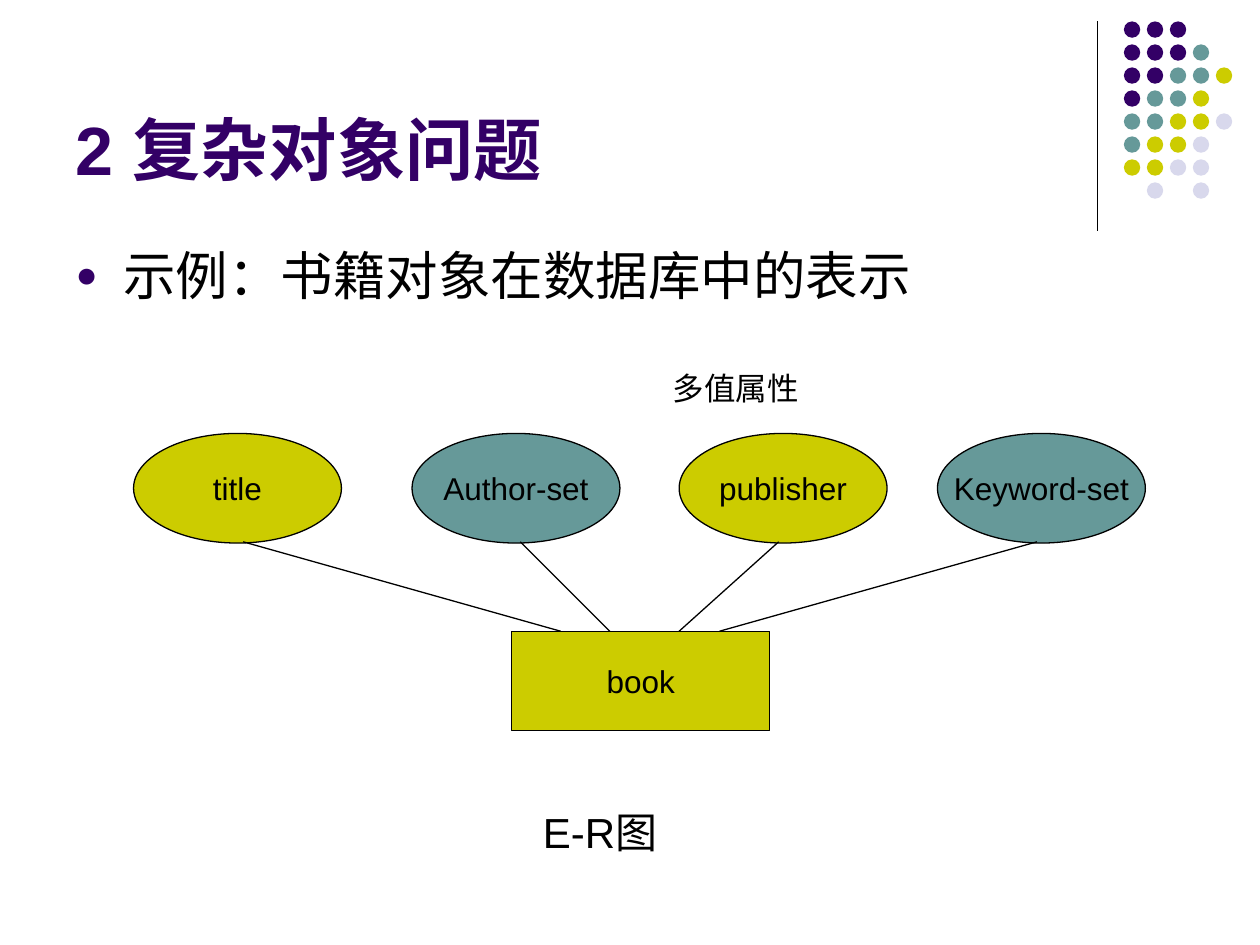
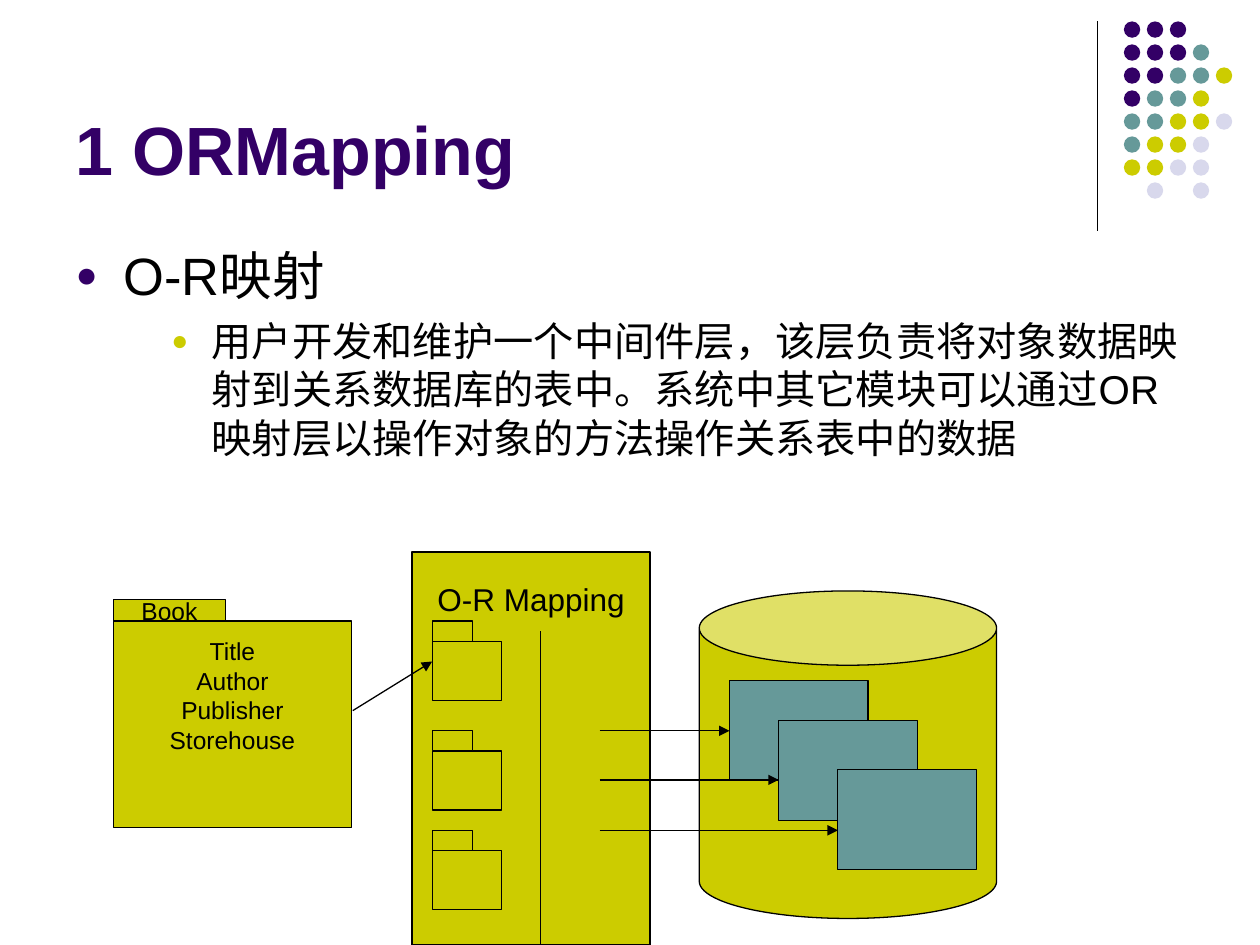
import dataclasses

import lxml.etree
import pptx
import pptx.dml.color
import pptx.enum.shapes
import pptx.enum.text
import pptx.oxml.ns
import pptx.util

Inches = pptx.util.Inches
Pt = pptx.util.Pt
Kind = pptx.enum.shapes.MSO_SHAPE
Line = pptx.enum.shapes.MSO_CONNECTOR
Align = pptx.enum.text.PP_ALIGN
Anchor = pptx.enum.text.MSO_ANCHOR
Fit = pptx.enum.text.MSO_AUTO_SIZE


@dataclasses.dataclass(frozen=True)
class Theme:
    """Colours, type sizes and rules for the whole deck."""
    ink: str = "000000"
    navy: str = "330066"
    teal: str = "669999"
    olive: str = "CCCC00"
    pale: str = "D8D8EC"
    font: str = "Arial"
    title: float = 39
    head: float = 30
    text: float = 23
    note: float = 24
    label: float = 18
    small: float = 14
    rule: float = 0.75


THEME = Theme()


def rgb(code):
    """Turn a hex code into a colour."""
    return pptx.dml.color.RGBColor.from_string(code)


def put(item, **values):
    """Set each named value on the item."""
    for name, value in values.items():
        setattr(item, name, value)


def place(item, x, y, w, h):
    """Move an item to a box in inches."""
    put(item, left=Inches(x), top=Inches(y), width=Inches(w), height=Inches(h))


def child(parent, tag, **values):
    """Append a drawing element with its attributes."""
    part = lxml.etree.SubElement(parent, pptx.oxml.ns.qn("a:" + tag))
    for name, value in values.items():
        part.set(name, value)
    return part


def style(para, size, color=THEME.ink, bold=False, **values):
    """Set the type and layout of a paragraph."""
    put(para, **values)
    put(para.font, name=THEME.font, size=Pt(size), bold=bold)
    para.font.color.rgb = rgb(color)


def write(frame, lines, size, **values):
    """Fill a frame with lines of one style."""
    frame.text = "\n".join(lines)
    for para in frame.paragraphs:
        style(para, size, **values)


def shape(shapes, kind, box, fill, lines=(), size=THEME.label, inset=None, edge=True):
    """Add a flat shape, with text centred or hung from an inset."""
    item = shapes.add_shape(kind, *map(Inches, box))
    item.shadow.inherit = False
    item.fill.solid()
    item.fill.fore_color.rgb = rgb(fill)
    if edge:
        item.line.color.rgb = rgb(THEME.ink)
        item.line.width = Pt(THEME.rule)
    else:
        item.line.fill.background()
    if lines:
        frame = item.text_frame
        put(frame, word_wrap=False, vertical_anchor=Anchor.MIDDLE)
        if inset is not None:
            put(frame, vertical_anchor=Anchor.TOP, margin_top=Inches(inset))
        write(frame, lines, size, alignment=Align.CENTER)
    return item


def link(shapes, start, end, arrow=False):
    """Add a straight line or arrow."""
    item = shapes.add_connector(Line.STRAIGHT, *map(Inches, (*start, *end)))
    item.line.color.rgb = rgb(THEME.ink)
    item.line.width = Pt(THEME.rule)
    if arrow:
        child(item.line._get_or_add_ln(), "tailEnd", type="triangle")
    child(item.element.spPr, "effectLst")
    return item


def note(shapes, box, words, size):
    """Add a plain wrapped text box."""
    frame = shapes.add_textbox(*map(Inches, box)).text_frame
    frame.word_wrap = True
    write(frame, [words], size)


def dots(shapes, x, y):
    """Add the corner grid of dots as one group."""
    rows = ("NNN", "NNNT", "NNTTO", "NTTO", "TTOOP", "TOOP", "OOPP", ".P.P")
    fills = {"N": THEME.navy, "T": THEME.teal, "O": THEME.olive, "P": THEME.pale}
    step = 0.73 / 4
    group = shapes.add_group_shape()
    for r, row in enumerate(rows):
        for c, key in enumerate(row):
            if key in fills:
                box = (x + c * step, y + r * step, 0.13, 0.13)
                shape(group.shapes, Kind.OVAL, box, fills[key], edge=False)
    return group


def brand(slide):
    """Move the rule and dots to the layout that the slides share."""
    tree = slide.slide_layout.shapes.element
    parts = [link(slide.shapes, (8.71, 0.17), (8.71, 1.83)), dots(slide.shapes, 8.92, 0.17)]
    marks = [mark for part in parts for mark in part.element.xpath(".//p:cNvPr")]
    for num, mark in enumerate(marks, 100):
        mark.set("id", str(num))
    for part in parts:
        tree.append(part.element)


def bullet(para, left, hang, color):
    """Give a paragraph a hanging round bullet."""
    props = para._p.get_or_add_pPr()
    props.set("marL", str(Inches(left)))
    props.set("indent", str(-Inches(hang)))
    child(child(props, "buClr"), "srgbClr", val=color)
    child(props, "buSzPct", val="70000")
    child(props, "buFont", typeface=THEME.font)
    child(props, "buChar", char="●")


def start(deck, title, points):
    """Add a slide with its title and list of (level, text) points."""
    levels = {
        0: (0.38, 0.38, THEME.navy, THEME.head, 7.5),
        2: (1.08, 0.32, THEME.olive, THEME.text, 5.8),
    }
    slide = deck.slides.add_slide(deck.slide_layouts[1])
    head, body = slide.placeholders
    place(head, 0.5, 0.13, 8.25, 1.42)
    place(body, 0.5, 1.88, 9, 4.82)
    put(head.text_frame, auto_size=Fit.NONE, vertical_anchor=Anchor.BOTTOM)
    write(head.text_frame, [title], THEME.title, color=THEME.navy, bold=True,
          alignment=Align.LEFT)
    frame = body.text_frame
    frame.text = "\n".join(text for _, text in points)
    frame.auto_size = Fit.NONE
    for num, (level, _) in enumerate(points):
        left, hang, color, size, gap = levels[level]
        para = frame.paragraphs[num]
        bullet(para, left, hang, color)
        style(para, size, level=level, space_before=Pt(gap if num else 0))
    return slide


def chart(shapes, x, y):
    """Draw the entity, its attributes and their captions."""
    nodes = (
        ("title", 0, THEME.olive, 0.87, 3.39),
        ("Author-set", 2.21, THEME.teal, 3.07, 3.78),
        ("publisher", 4.33, THEME.olive, 5.12, 4.33),
        ("Keyword-set", 6.38, THEME.teal, 7.17, 4.65),
    )
    shape(shapes, Kind.RECTANGLE, (x + 3, y + 2.13, 2.05, 0.79), THEME.olive, ["book"])
    for name, left, fill, top, foot in nodes:
        shape(shapes, Kind.OVAL, (x + left, y + 0.56, 1.65, 0.87), fill, [name])
        link(shapes, (x + top, y + 1.42), (x + foot, y + 2.13))
    note(shapes, (x + 4.18, y, 2.44, 0.4), "多值属性", THEME.label)
    note(shapes, (x + 3.15, y + 3.47, 2.44, 0.5), "E-R图", THEME.note)


def folder(shapes, box, tab, name=(), lines=()):
    """Draw a folder: a body with a small tab on top."""
    x, y, w, h = box
    wide, high = tab
    shape(shapes, Kind.RECTANGLE, (x, y + high, w, h - high), THEME.olive,
          lines, THEME.small, inset=0.12)
    shape(shapes, Kind.RECTANGLE, (x, y, wide, high), THEME.olive, name, THEME.small)


def layer(shapes, x, y):
    """Draw the mapping layer with its folders and divider."""
    shape(shapes, Kind.RECTANGLE, (x, y, 1.89, 3.12), THEME.olive,
          ["O-R Mapping"], inset=0.22)
    for top in (0.55, 1.42, 2.21):
        folder(shapes, (x + 0.16, y + top, 0.55, 0.63), (0.32, 0.16))
    link(shapes, (x + 1.02, y + 3.12), (x + 1.02, y + 0.63))


def store(shapes, x, y):
    """Draw the database with its stacked tables."""
    can = shape(shapes, Kind.CAN, (x, y, 2.36, 2.6), THEME.olive)
    can.adjustments[0] = 0.25
    for left, top in ((0.24, 0.71), (0.63, 1.03), (1.1, 1.42)):
        shape(shapes, Kind.RECTANGLE, (x + left, y + top, 1.1, 0.79), THEME.teal)


def flow(shapes, x, y):
    """Draw the path from object through mapping to database."""
    folder(shapes, (x, y + 0.38, 1.89, 1.81), (0.89, 0.17), ["Book"],
           ["Title", "Author", "Publisher", "Storehouse"])
    layer(shapes, x + 2.37, y)
    store(shapes, x + 4.65, y + 0.31)
    link(shapes, (x + 1.9, y + 1.26), (x + 2.53, y + 0.87), arrow=True)
    for end, drop in ((4.89, 1.42), (5.28, 1.81), (5.75, 2.21)):
        link(shapes, (x + 3.86, y + drop), (x + end, y + drop), arrow=True)


def main():
    """Build and save the deck."""
    deck = pptx.Presentation()
    put(deck, slide_width=Inches(10), slide_height=Inches(7.5))
    first = start(deck, "2 复杂对象问题", [(0, "示例：书籍对象在数据库中的表示")])
    brand(first)
    chart(first.shapes, 1.06, 2.88)
    second = start(deck, "1 ORMapping", [
        (0, "O-R映射"),
        (2, "用户开发和维护一个中间件层，该层负责将对象数据映射到关系数据库的表中。"
            "系统中其它模块可以通过OR映射层以操作对象的方法操作关系表中的数据"),
    ])
    flow(second.shapes, 0.9, 4.38)
    deck.save("out.pptx")


if __name__ == "__main__":
    main()
